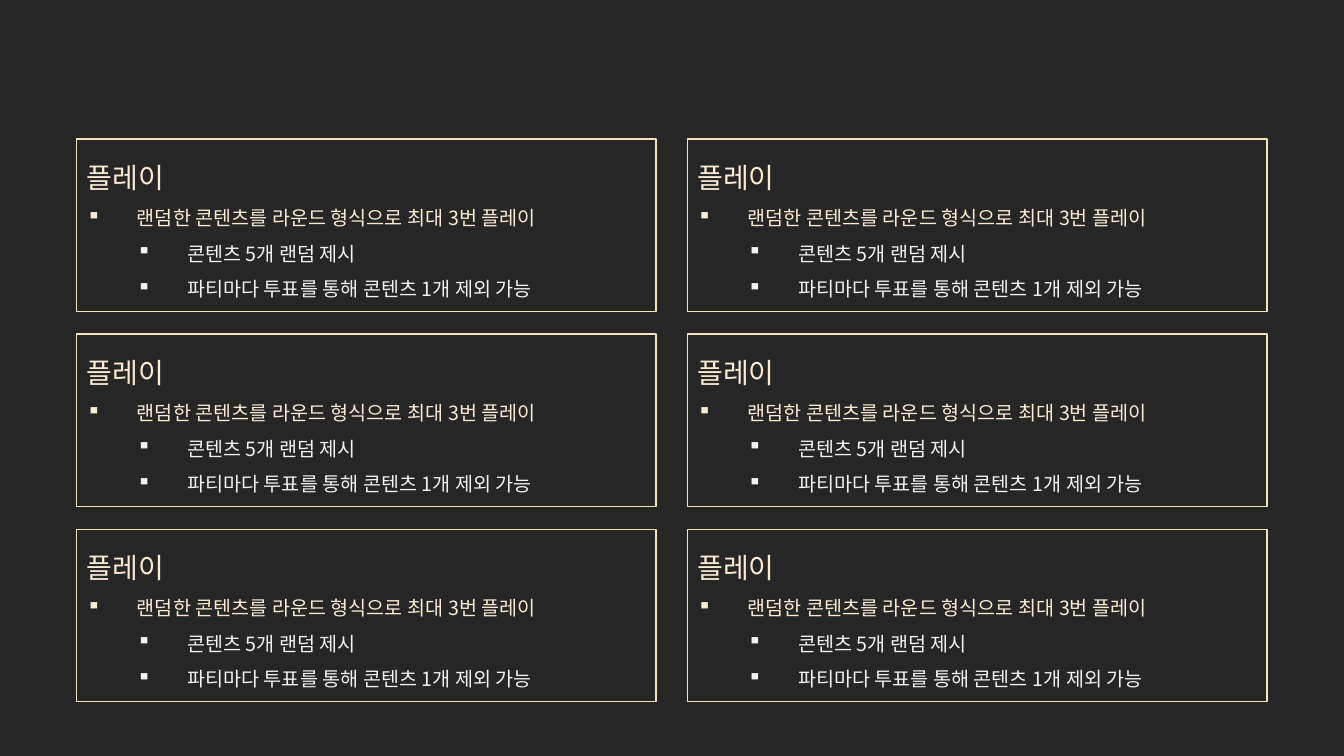
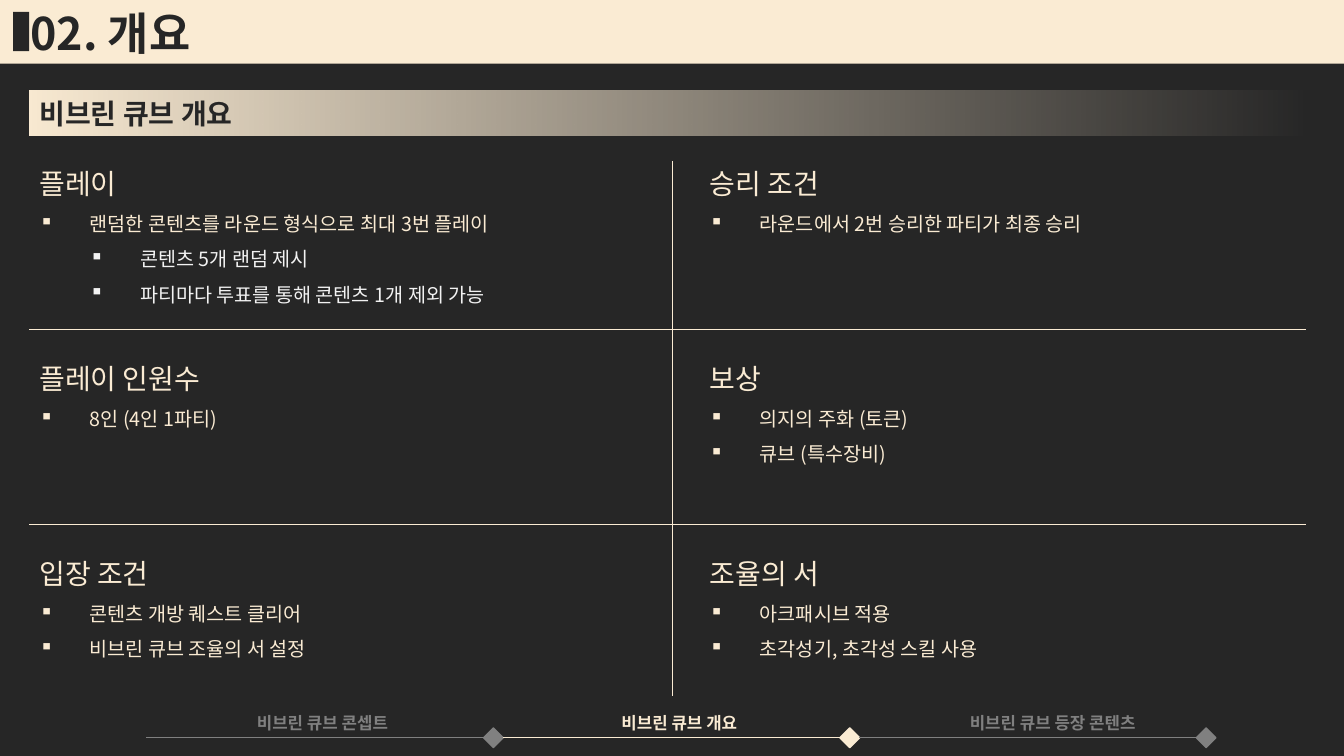
import lxml.etree
import pptx
import pptx.dml.color
import pptx.enum.shapes
import pptx.enum.text
import pptx.oxml.ns
import pptx.util

Pt = pptx.util.Pt
RGBColor = pptx.dml.color.RGBColor
Shape = pptx.enum.shapes.MSO_SHAPE
Anchor = pptx.enum.text.MSO_ANCHOR
Align = pptx.enum.text.PP_ALIGN
qn = pptx.oxml.ns.qn

# Shared look
FONT = "Noto Sans CJK KR"
DARK = RGBColor(0x26, 0x26, 0x26)
CREAM = RGBColor(0xFA, 0xEB, 0xD3)
FRAME = RGBColor(0xF2, 0xE3, 0xBC)
WHITE = RGBColor(0xF2, 0xF2, 0xF2)
GRAY = RGBColor(0x80, 0x80, 0x80)

# Shared grid
PAGE_WIDTH, PAGE_HEIGHT = 960, 540
MARGIN = 21
SECTION_WIDTH, SECTION_HEIGHT = 414, 117
ROW_PITCH = 139.3
INDENT = 36

# Sections: heading, then (level, text) bullets
PLAY = ("플레이", [
    (0, "랜덤한 콘텐츠를 라운드 형식으로 최대 3번 플레이"),
    (1, "콘텐츠 5개 랜덤 제시"),
    (1, "파티마다 투표를 통해 콘텐츠 1개 제외 가능"),
])
OVERVIEW = [
    PLAY,
    ("승리 조건", [(0, "라운드에서 2번 승리한 파티가 최종 승리")]),
    ("플레이 인원수", [(0, "8인 (4인 1파티)")]),
    ("보상", [(0, "의지의 주화 (토큰)"), (0, "큐브 (특수장비)")]),
    ("입장 조건", [(0, "콘텐츠 개방 퀘스트 클리어"), (0, "비브린 큐브 조율의 서 설정")]),
    ("조율의 서", [(0, "아크패시브 적용"), (0, "초각성기, 초각성 스킬 사용")]),
]

# Progress steps: label, label centre, colour
STEPS = [
    ("비브린 큐브 콘셉트", 230.4, GRAY),
    ("비브린 큐브 개요", 485.3, CREAM),
    ("비브린 큐브 등장 콘텐츠", 752, GRAY),
]


def add_page(deck):
    page = deck.slides.add_slide(deck.slide_layouts[6])
    page.background.fill.solid()
    page.background.fill.fore_color.rgb = DARK
    return page


def add_block(page, kind, left, top, width, height, fill=None, line=None):
    block = page.shapes.add_shape(kind, Pt(left), Pt(top), Pt(width), Pt(height))
    block.shadow.inherit = False
    if fill is None:
        block.fill.background()
    else:
        block.fill.solid()
        block.fill.fore_color.rgb = fill
    if line is None:
        block.line.fill.background()
    else:
        block.line.color.rgb = line
        block.line.width = Pt(1)
    return block


def add_line(page, x1, y1, x2, y2, color, width):
    line = page.shapes.add_connector(
        pptx.enum.shapes.MSO_CONNECTOR.STRAIGHT, Pt(x1), Pt(y1), Pt(x2), Pt(y2))
    line.line.color.rgb = color
    line.line.width = Pt(width)
    lxml.etree.SubElement(line._element.spPr, qn("a:effectLst"))


def add_box(page, left, top, width, height, anchor=Anchor.TOP):
    box = page.shapes.add_textbox(Pt(left), Pt(top), Pt(width), Pt(height))
    frame = box.text_frame
    frame.word_wrap = True
    frame.auto_size = pptx.enum.text.MSO_AUTO_SIZE.SHAPE_TO_FIT_TEXT
    frame.vertical_anchor = anchor
    return frame


def style_text(para, text, size, color, bold=False):
    para.text = text
    para.font.size = Pt(size)
    para.font.bold = bold
    para.font.color.rgb = color
    para.font.name = FONT
    # Hangul takes the East Asian typeface
    defaults = para._p.pPr.find(qn("a:defRPr"))
    lxml.etree.SubElement(defaults, qn("a:ea")).set("typeface", FONT)


def add_label(page, text, left, top, width, height, size, color, align=Align.LEFT):
    frame = add_box(page, left, top, width, height, Anchor.MIDDLE)
    frame.paragraphs[0].alignment = align
    style_text(frame.paragraphs[0], text, size, color, bold=True)
    return frame


def set_bullet(para, level):
    para.level = level
    properties = para._p.get_or_add_pPr()
    properties.set("marL", str(Pt(INDENT * (level + 1))))
    properties.set("indent", str(Pt(-INDENT)))
    lxml.etree.SubElement(properties, qn("a:buChar")).set("char", "▪")


def add_section(page, section, left, top):
    heading, bullets = section
    frame = add_box(page, left, top, SECTION_WIDTH, SECTION_HEIGHT)
    para = frame.paragraphs[0]
    para.line_spacing = 1.5
    style_text(para, heading, 20, CREAM)
    for level, text in bullets:
        para = frame.add_paragraph()
        para.line_spacing = 1.5
        set_bullet(para, level)
        style_text(para, text, 14, WHITE if level else CREAM)


def add_sections(page, sections, lefts, top, framed=False):
    for index, section in enumerate(sections):
        row, column = divmod(index, len(lefts))
        left, row_top = lefts[column], top + row * ROW_PITCH
        add_section(page, section, left, row_top)
        if framed:
            add_block(page, Shape.RECTANGLE, left, row_top, SECTION_WIDTH, 123, line=FRAME)


def add_title(page, text):
    add_block(page, Shape.RECTANGLE, 0, 0, PAGE_WIDTH, 45.5, CREAM)
    frame = add_label(page, text, 0, 0, 315, 46, 32, DARK)
    frame.margin_left = Pt(21.6)
    add_block(page, Shape.RECTANGLE, 9.3, 8.6, 11.6, 28, DARK)


def add_heading_band(page, text):
    top, height = 64.8, 32
    band = add_block(page, Shape.RECTANGLE, MARGIN, top, 918, height)
    band.fill.gradient()
    band.fill.gradient_angle = 180
    for stop in band.fill.gradient_stops:
        stop.color.rgb = CREAM
    # The first stop, at the right end, is fully transparent
    clear = band._element.spPr.find(".//" + qn("a:srgbClr"))
    lxml.etree.SubElement(clear, qn("a:alpha")).set("val", "0")
    add_label(page, text, MARGIN, top, 258, height, 20, DARK)


def add_progress(page):
    start, pitch, length, size, middle = 104.4, 254.6, 241, 14, 527
    label_width = 160
    for index, (text, center, color) in enumerate(STEPS):
        left = start + index * pitch
        add_line(page, left, middle, left + length, middle, color, 0.5)
        add_block(page, Shape.DIAMOND, left + length, middle - size / 2, size, size, color, color)
        add_label(page, text, center - label_width / 2, 505.4, label_width, 21.8,
                  12, color, Align.CENTER)


def build_cards(deck):
    add_sections(add_page(deck), [PLAY] * 6, (54.7, 491), 99.4, framed=True)


def build_overview(deck):
    page = add_page(deck)
    add_heading_band(page, "비브린 큐브 개요")
    add_title(page, "02. 개요")
    add_progress(page)
    add_sections(page, OVERVIEW, (MARGIN, 499.7), 103.5)
    # Dividers between the sections
    add_line(page, PAGE_WIDTH / 2, 115, PAGE_WIDTH / 2, 497.5, CREAM, 0.25)
    for row in range(2):
        divider = 235.3 + row * ROW_PITCH
        add_line(page, MARGIN, divider, 933, divider, CREAM, 0.25)


def main():
    deck = pptx.Presentation()
    deck.slide_width, deck.slide_height = Pt(PAGE_WIDTH), Pt(PAGE_HEIGHT)
    build_cards(deck)
    build_overview(deck)
    deck.save("out.pptx")


if __name__ == "__main__":
    main()
